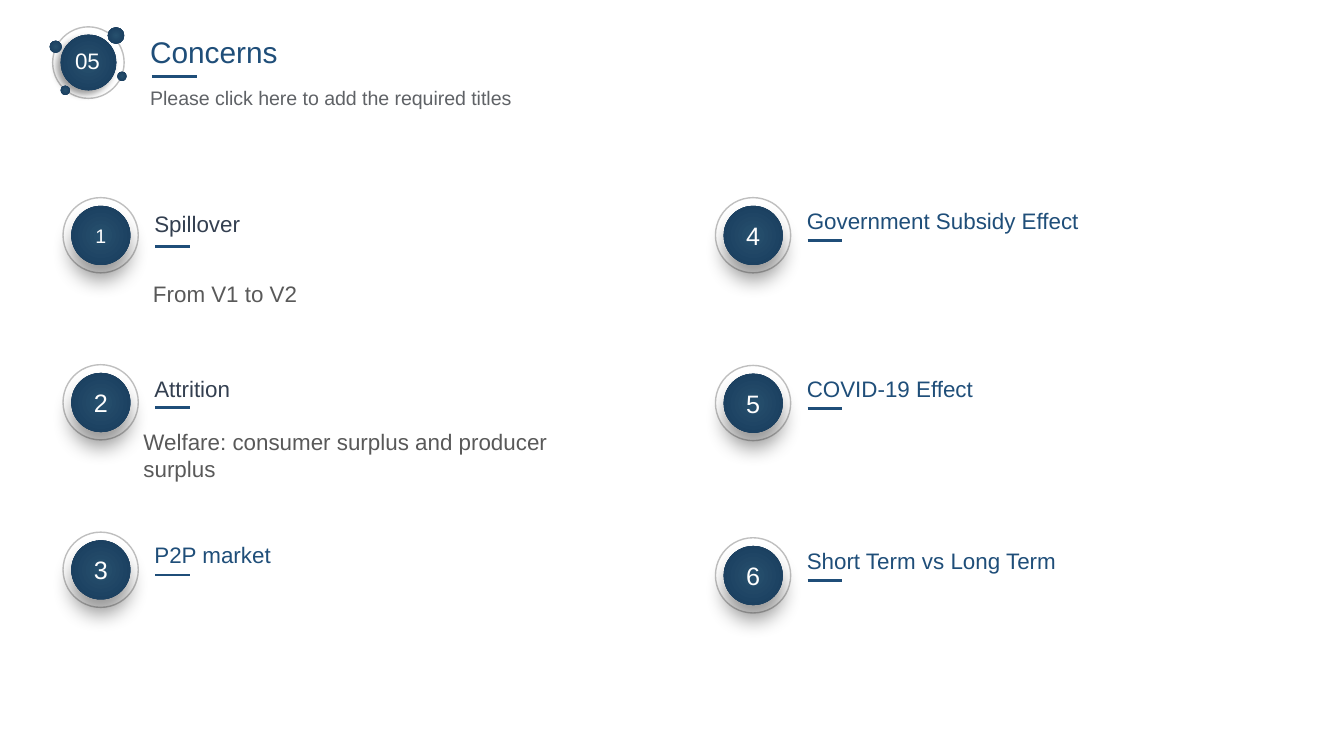
"""Build the Concerns slide with six numbered badges."""
from dataclasses import dataclass
from typing import Any, Optional

from pptx import Presentation
from pptx.dml.color import RGBColor
from pptx.enum.shapes import MSO_CONNECTOR, MSO_SHAPE
from pptx.enum.text import MSO_ANCHOR, PP_ALIGN
from pptx.oxml import parse_xml
from pptx.oxml.ns import nsdecls, qn
from pptx.util import Pt

BLUE, SLATE, GREY, WHITE = "1F4E79", "333F50", "595959", "FFFFFF"
RING, RING_LINE = 40.3, "BFBFBF"
DISC, DISC_GAP = 31.7, 4.4
DISC_STOPS = ("27506E", "173A5B")
LEFT_X, RIGHT_X = 33.8, 383.3


@dataclass
class Shadow:
    """Blur, distance and direction of a soft black shadow."""
    blur: float
    dist: float
    angle: int


@dataclass
class Body:
    """Explanatory text below a heading."""
    text: str
    x: float
    y: float
    h: float


@dataclass
class Concern:
    """A numbered concern; heading and rule are offset from the ring top."""
    number: int
    x: float
    y: float
    heading: str
    width: float = 159
    heading_dy: float = 1.4
    rule_dy: float = 23
    heading_h: float = 21.8
    color: str = BLUE
    spacing: float = 1.0
    size: float = 13.5
    body: Optional[Body] = None


CONCERNS = [
    Concern(1, LEFT_X, 105.9, "Spillover", 261.4, -3.8, 26, 26.6, SLATE, 1.5, 10.5,
            Body("From V1 to V2", 74.9, 146.4, 21.8)),
    Concern(2, LEFT_X, 195.4, "Attrition", 261.4, -5.3, 23, 26.6, SLATE, 1.5, 13.5,
            Body("Welfare: consumer surplus and producer surplus", 69.8, 226.1, 36.4)),
    Concern(3, LEFT_X, 285.1, "P2P market"),
    Concern(4, RIGHT_X, 105.9, "Government Subsidy Effect", 186.5),
    Concern(5, RIGHT_X, 195.8, "COVID-19 Effect"),
    Concern(6, RIGHT_X, 288.1, "Short Term vs Long Term"),
]
HEADER_DOTS = [(57.7, 14.6, 8.9), (26.6, 21.8, 6.5), (32.5, 45.9, 5), (62.9, 38.4, 5)]


def rgb(value: str) -> RGBColor:
    """Turn a hex string into a colour."""
    return RGBColor.from_string(value)


def apply(target: Any, formats: dict[str, Any]) -> None:
    """Set every attribute named in formats."""
    for name, value in formats.items():
        setattr(target, name, value)


def write(tf: Any, text: str, size: float, color: str, **formats: Any) -> None:
    """Write one formatted paragraph into a text frame."""
    p = tf.paragraphs[0]
    apply(p, formats)
    r = p.add_run()
    r.text = text
    apply(r.font, {"name": "Arial", "size": Pt(size)})
    r.font.color.rgb = rgb(color)


def add_text(s: Any, x: float, y: float, w: float, h: float, text: str, size: float,
             color: str, wrap: bool = True, **formats: Any) -> None:
    """Add a text box."""
    tf = s.shapes.add_textbox(Pt(x), Pt(y), Pt(w), Pt(h)).text_frame
    tf.word_wrap = wrap
    write(tf, text, size, color, **formats)


def add_circle(shapes: Any, x: float, y: float, d: float) -> Any:
    """Add a circle without a shadow."""
    sp = shapes.add_shape(MSO_SHAPE.OVAL, Pt(x), Pt(y), Pt(d), Pt(d))
    sp.shadow.inherit = False
    return sp


def add_ring(shapes: Any, x: float, y: float, d: float) -> None:
    """Add an unfilled circle with a thin outline."""
    sp = add_circle(shapes, x, y, d)
    sp.fill.background()
    sp.line.color.rgb = rgb(RING_LINE)
    sp.line.width = Pt(0.75)


def add_disc(shapes: Any, x: float, y: float, d: float, shadow: Optional[Shadow] = None) -> Any:
    """Add a circle with a radial gradient and an optional shadow."""
    sp = add_circle(shapes, x, y, d)
    sp.line.fill.background()
    sp.fill.gradient()
    for position, (stop, color) in enumerate(zip(sp.fill.gradient_stops, DISC_STOPS)):
        stop.position = position
        stop.color.rgb = rgb(color)
    lin = sp.element.spPr.find(qn("a:gradFill")).find(qn("a:lin"))
    lin.getparent().replace(lin, parse_xml(
        f'<a:path {nsdecls("a")} path="circle">'
        '<a:fillToRect l="50000" t="50000" r="50000" b="50000"/></a:path>'))
    if shadow:
        sp.element.spPr.find(qn("a:effectLst")).append(parse_xml(
            f'<a:outerShdw {nsdecls("a")} blurRad="{Pt(shadow.blur)}" dist="{Pt(shadow.dist)}" '
            f'dir="{shadow.angle * 60000}" algn="ctr" rotWithShape="0">'
            '<a:srgbClr val="000000"><a:alpha val="40000"/></a:srgbClr></a:outerShdw>'))
    return sp


def add_rule(s: Any, x: float, y: float, w: float) -> None:
    """Add a short horizontal rule."""
    line = s.shapes.add_connector(MSO_CONNECTOR.STRAIGHT, Pt(x), Pt(y), Pt(x + w), Pt(y))
    line.line.color.rgb = rgb(BLUE)
    line.line.width = Pt(1.5)
    line._element.spPr.append(parse_xml(f'<a:effectLst {nsdecls("a")}/>'))


def add_header(s: Any) -> None:
    """Add the section badge, title and subtitle."""
    shapes = s.shapes.add_group_shape().shapes
    add_ring(shapes, 28.2, 14.4, 38.3)
    add_disc(shapes, 32.5, 18.6, 29.8, Shadow(4, 3, 135))
    for dot in HEADER_DOTS:
        add_disc(shapes, *dot)
    add_text(s, 73.4, 14.4, 83.5, 26.6, "Concerns", 16, BLUE, wrap=False)
    add_rule(s, 81.4, 41, 24.3)
    add_text(s, 33.1, 21.8, 28.1, 21.8, "05", 12, WHITE, wrap=False)
    add_text(s, 73.4, 42.5, 251.3, 20, "Please click here to add the required titles",
             10.5, "5F6266", alignment=PP_ALIGN.JUSTIFY)


def add_concern(s: Any, c: Concern) -> None:
    """Add a numbered badge with its heading, rule and body."""
    shapes = s.shapes.add_group_shape().shapes
    add_ring(shapes, c.x, c.y, RING)
    disc = add_disc(shapes, c.x + DISC_GAP, c.y + DISC_GAP, DISC, Shadow(11, 8, 90))
    tf = disc.text_frame
    apply(tf, {"margin_left": 0, "margin_right": 0, "vertical_anchor": MSO_ANCHOR.MIDDLE})
    write(tf, str(c.number), c.size, WHITE, alignment=PP_ALIGN.CENTER)
    add_text(s, c.x + 41.8, c.y + c.heading_dy, c.width, c.heading_h, c.heading, 12,
             c.color, line_spacing=c.spacing)
    add_rule(s, c.x + 49.3, c.y + c.rule_dy, 18.6)
    if c.body:
        add_text(s, c.body.x, c.body.y, 266.4, c.body.h, c.body.text, 12, GREY)


def main() -> None:
    """Create and save the presentation."""
    prs = Presentation()
    apply(prs, {"slide_width": Pt(720), "slide_height": Pt(405)})
    s = prs.slides.add_slide(prs.slide_layouts[6])
    add_header(s)
    for concern in CONCERNS:
        add_concern(s, concern)
    prs.save("out.pptx")


if __name__ == "__main__":
    main()
